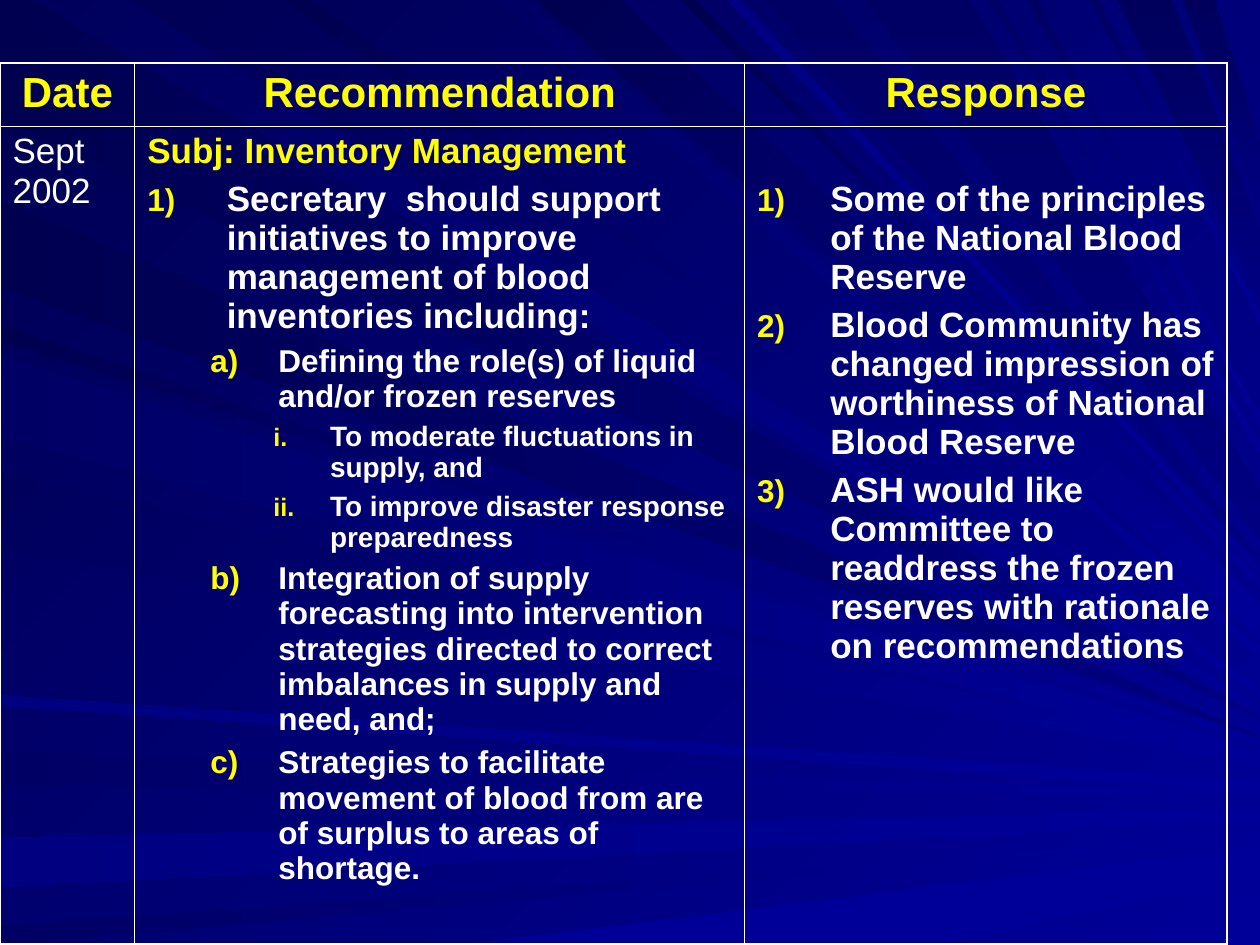
from lxml import etree
from pptx import Presentation
from pptx.dml.color import RGBColor
from pptx.enum import text
from pptx.oxml import ns
from pptx.util import Inches, Pt

C = {
    "white": "FFFFFF", "yellow": "FFFF00", "blue": "000099", "navy": "000080",
    "deep": "000064", "dark": "00005C", "night": "000050",
}
LEFT, DIAG, DOWN = 180, 135, 270

RAY_GROUPS = [
    ("left", "navy", "night", LEFT, 0.02, [(0.02, 0.93, 5.69), (1.59, 2.28, 5.84)]),
    ("top", "blue", "dark", DIAG, 0.02, [(0.26, 1.01, 5.62)]),
    ("left", "blue", "deep", LEFT, 0.02, [(5.96, 6.23, 6.3), (7.35, 7.5, 6.62)]),
    ("left", "blue", "navy", LEFT, 0.08, [(6.65, 7.04, 6.43), (5.52, 5.6, 6.2)]),
    ("bottom", "blue", "blue", LEFT, 0.22, [(3.64, 7.42, 6.72)]),
    ("left", "blue", "night", DIAG, 0.02, [(2.58, 2.7, 5.88)]),
    ("top", "blue", "deep", DIAG, 0.06, [(3.98, 4.16, 5.15)]),
    ("top", "blue", "night", DIAG, 0.28, [(4.26, 4.92, 4.79)]),
    ("top", "blue", "night", DIAG, 0.02, [(5.4, 5.52, 4.62)]),
    ("top", "deep", "navy", DOWN, 0.02, [(6.06, 6.61, 4.45)]),
    ("top", "dark", "navy", DOWN, 0.53, [(8.87, 9.3, 1.83), (9.39, 9.64, 1.14)]),
    ("left", "blue", "dark", DIAG, 0.04, [(2.78, 3.42, 5.97), (3.74, 4.37, 6.03)]),
    ("top", "blue", "night", DIAG, 0.05, [(2.25, 2.47, 5.47)]),
    ("top", "blue", "navy", DIAG, 0.02, [(5.77, 5.88, 4.53)]),
    ("top", "deep", "navy", DOWN, 0.38, [(6.86, 7.7, 3.9)]),
    ("top", "blue", "deep", DIAG, 0.06,
     [(7.85, 7.92, 3.54), (8.15, 8.24, 3.32), (8.65, 8.72, 2.5)]),
    ("left", "blue", "deep", LEFT, 0.05, [(2.83, 3.47, 6.01)]),
]

STYLES = {
    "head": (24, "yellow", True, 0, 0, 0, None),
    "date": (20, "white", False, 0, 0, 0, None),
    "subject": (20, "yellow", True, 0, 0.63, 0.63, None),
    "item": (20, "white", True, 5, 0.63, 0.63, "arabicParenR"),
    "sub": (18, "white", True, 4.5, 1.04, 0.54, "alphaLcParenR"),
    "subsub": (16, "white", True, 4, 1.45, 0.45, "romanLcPeriod"),
    "reply": (20, "white", True, 5, 0.58, 0.58, "arabicParenR"),
}
LEVELS = {"sub": 1, "subsub": 2}
ROWS = [
    [[("head", "Date")], [("head", "Recommendation")], [("head", "Response")]],
    [
        [("date", "Sept 2002")],
        [
            ("subject", "Subj: Inventory Management"),
            ("item", "Secretary  should support initiatives to improve management of blood "
                     "inventories including:"),
            ("sub", "Defining the role(s) of liquid and/or frozen reserves"),
            ("subsub", "To moderate fluctuations in supply, and"),
            ("subsub", "To improve disaster response preparedness"),
            ("sub", "Integration of supply forecasting into intervention strategies directed "
                    "to correct imbalances in supply and need, and;"),
            ("sub", "Strategies to facilitate movement of blood from are of surplus to areas "
                    "of shortage."),
        ],
        [
            ("reply", "Some of the principles of the National Blood Reserve"),
            ("reply", "Blood Community has changed impression of worthiness of National Blood "
                      "Reserve"),
            ("reply", "ASH would like Committee to readdress the frozen reserves with rationale "
                      "on recommendations"),
        ],
    ],
]


def paint(fill, first, last, angle):
    fill.gradient()
    fill.gradient_angle = angle
    for stop, name in zip(fill.gradient_stops, (first, last)):
        stop.color.rgb = RGBColor.from_string(C[name])


def add(parent, tag, **attrs):
    el = etree.SubElement(parent, ns.qn(tag))
    for key, value in attrs.items():
        el.set(key, str(value))
    return el


prs = Presentation()
prs.slide_width, prs.slide_height = Inches(10), Inches(7.5)
s = prs.slides.add_slide(prs.slide_layouts[6])
paint(s.background.fill, "blue", "night", DIAG)

for edge, first, last, angle, spread, rays in RAY_GROUPS:
    for start, end, tip in rays:
        a, b = Inches(start), Inches(end)
        right = [(prs.slide_width, Inches(tip)), (prs.slide_width, Inches(tip + spread))]
        if edge == "left":
            pts = [(0, b), (0, a)] + right
        elif edge == "top":
            pts = [(a, 0), (b, 0)] + right
        else:
            pts = [(b, prs.slide_height), (a, prs.slide_height)] + right
        fb = s.shapes.build_freeform(*pts[0])
        fb.add_line_segments(pts[1:], close=True)
        sp = fb.convert_to_shape()
        sp.shadow.inherit = False
        sp.line.fill.background()
        paint(sp.fill, first, last, angle)

tbl = s.shapes.add_table(2, 3, Inches(0), Inches(0.5), Inches(9.74), Inches(6.99)).table
tbl.first_row = tbl.horz_banding = False
for col, width in zip(tbl.columns, (1.07, 4.84, 3.83)):
    col.width = Inches(width)
for row, height in zip(tbl.rows, (0.5, 6.49)):
    row.height = Inches(height)

for i, row in enumerate(ROWS):
    for j, paragraphs in enumerate(row):
        cell = tbl.cell(i, j)
        cell.margin_left = cell.margin_right = Inches(0.1)
        cell.margin_top = Inches(0.43 if paragraphs[0][0] == "reply" else 0.05)
        cell.margin_bottom = Inches(0.05)
        tcPr = cell._tc.get_or_add_tcPr()
        edges = {"a:lnL": j == 0, "a:lnR": j == 2, "a:lnT": i == 0, "a:lnB": i == 1}
        for tag, outer in edges.items():
            ln = add(tcPr, tag, w=Pt(1.08 if outer else 0.45))
            add(add(ln, "a:solidFill"), "a:srgbClr", val=C["white"])
        cell.fill.background()
        tf = cell.text_frame
        for k, (style, words) in enumerate(paragraphs):
            size, colour, bold, before, indent, hang, numbering = STYLES[style]
            p = tf.add_paragraph() if k else tf.paragraphs[0]
            p.level = LEVELS.get(style, 0)
            p.alignment = text.PP_ALIGN.CENTER if style == "head" else text.PP_ALIGN.LEFT
            p.space_before = Pt(before if k else 0)
            pPr = p._p.get_or_add_pPr()
            pPr.set("marL", str(Inches(indent)))
            pPr.set("indent", str(-Inches(hang)))
            if numbering:
                add(add(pPr, "a:buClr"), "a:srgbClr", val=C["yellow"])
                add(pPr, "a:buSzPct", val=100000 if style == "sub" else 90000)
                add(pPr, "a:buFont", typeface="Arial")
                add(pPr, "a:buAutoNum", type=numbering)
            r = p.add_run()
            r.text = words
            r.font.name, r.font.size, r.font.bold = "Arial", Pt(size), bold
            r.font.color.rgb = RGBColor.from_string(C[colour])

prs.save("out.pptx")
